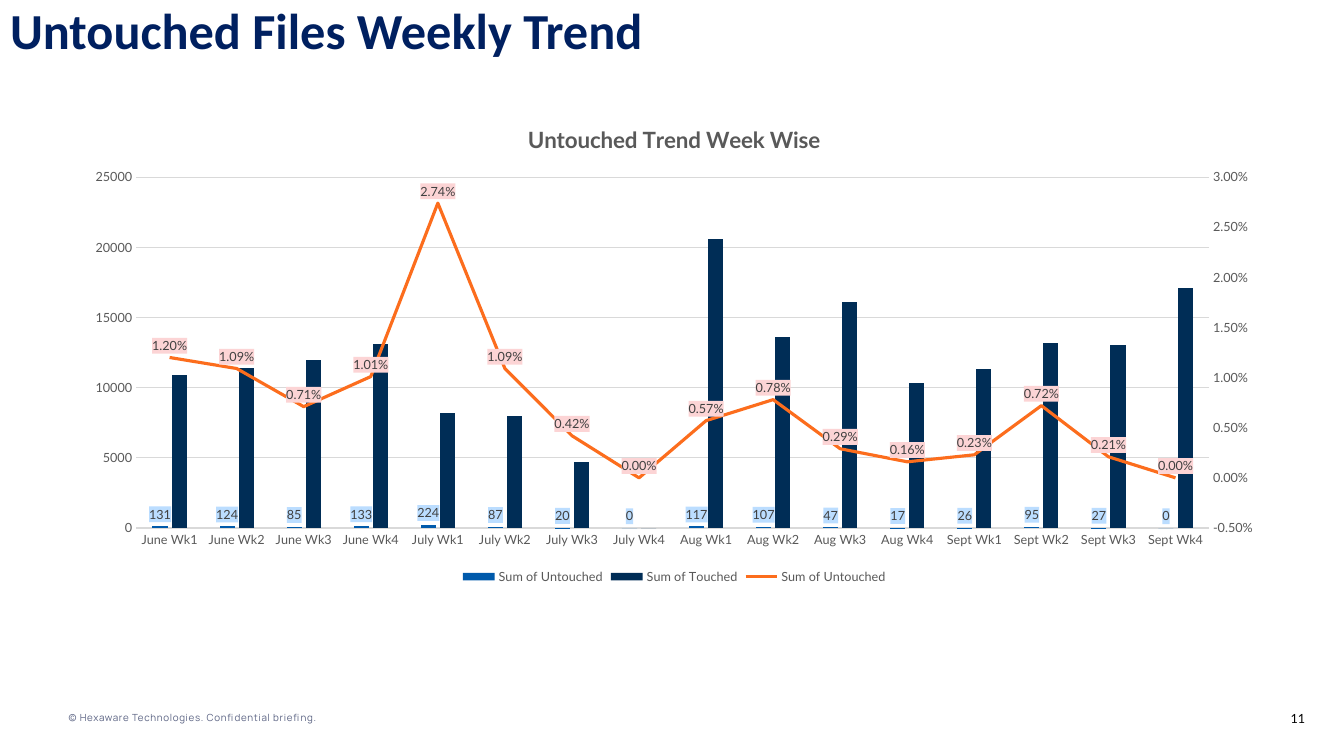
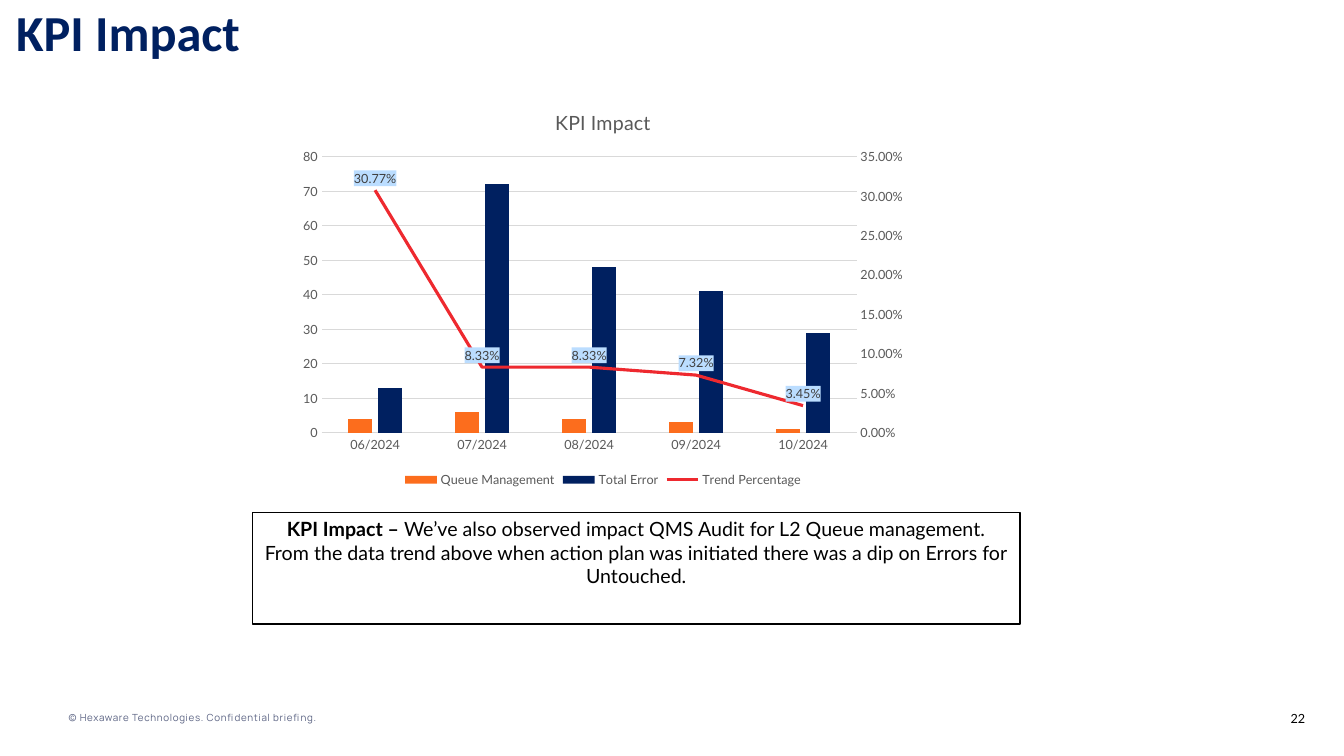
from copy import deepcopy

from pptx import Presentation
from pptx.chart.axis import CategoryAxis, ValueAxis
from pptx.chart.data import CategoryChartData
from pptx.dml.color import RGBColor
from pptx.enum.chart import (XL_CHART_TYPE, XL_LABEL_POSITION, XL_LEGEND_POSITION,
                             XL_MARKER_STYLE, XL_TICK_MARK)
from pptx.enum.shapes import MSO_SHAPE
from pptx.enum.text import MSO_ANCHOR, MSO_AUTO_SIZE, PP_ALIGN
from pptx.oxml import parse_xml
from pptx.oxml.ns import nsdecls, qn
from pptx.util import Cm, Pt

BLACK = RGBColor(0x00, 0x00, 0x00)
WHITE = RGBColor(0xFF, 0xFF, 0xFF)
NAVY = RGBColor(0x00, 0x20, 0x60)
DARK_BLUE = RGBColor(0x00, 0x2D, 0x56)
BLUE = RGBColor(0x00, 0x5A, 0xAB)
ORANGE = RGBColor(0xFC, 0x6D, 0x1D)
RED = RGBColor(0xEE, 0x29, 0x2F)
PALE_BLUE = RGBColor(0xBB, 0xDD, 0xFF)
PALE_RED = RGBColor(0xFC, 0xD4, 0xD5)
AXIS_TEXT = RGBColor(0x59, 0x59, 0x59)
LABEL_TEXT = RGBColor(0x40, 0x40, 0x40)
GRID = RGBColor(0xD9, 0xD9, 0xD9)
FOOTER_TEXT = RGBColor(0x5B, 0x63, 0x83)

TITLE_FONT, BODY_FONT, FOOTER_FONT = "Calibri", "Lato", "Manrope"
FOOTER = "© Hexaware Technologies. Confidential briefing."
PERCENT = "0.00%"
RIGHT_AXIS_IDS = ("50", "60")

# Series: name, values, colour, label fill (None for no labels); the last is the line.
# Scales: minimum, maximum, step.
UNTOUCHED = {
    "title": "Untouched Trend Week Wise", "title_size": 16, "title_bold": True,
    "box": (1.8, 2.64, 30.38, 12.19),
    "categories": [f"{month} Wk{week}" for month in ("June", "July", "Aug", "Sept")
                   for week in range(1, 5)],
    "series": [
        ("Sum of Untouched",
         (131, 124, 85, 133, 224, 87, 20, 0, 117, 107, 47, 17, 26, 95, 27, 0),
         BLUE, PALE_BLUE),
        ("Sum of Touched",
         (10900, 11400, 12000, 13100, 8200, 8000, 4700, 0,
          20600, 13600, 16100, 10300, 11300, 13200, 13000, 17100),
         DARK_BLUE, None),
        ("Sum of Untouched",
         (0.012, 0.0109, 0.0071, 0.0101, 0.0274, 0.0109, 0.0042, 0,
          0.0057, 0.0078, 0.0029, 0.0016, 0.0023, 0.0072, 0.0021, 0),
         ORANGE, PALE_RED),
    ],
    "left_scale": (0, 25000, 5000),
    "right_scale": (-0.005, 0.03, 0.005),
}
KPI = {
    "title": "KPI Impact", "title_size": 14, "title_bold": False,
    "box": (7.32, 2.31, 15.75, 10.08),
    "categories": [f"{month:02}/2024" for month in range(6, 11)],
    "series": [
        ("Queue Management", (4, 6, 4, 3, 1), ORANGE, None),
        ("Total Error", (13, 72, 48, 41, 29), NAVY, None),
        ("Trend Percentage", (0.3077, 0.0833, 0.0833, 0.0732, 0.0345), RED, PALE_BLUE),
    ],
    "left_scale": (0, 80, 10),
    "right_scale": (0, 0.35, 0.05),
}
FINDING = ("KPI Impact – ",
           "We’ve also observed impact QMS Audit for L2 Queue management. From the data "
           "trend above when action plan was initiated there was a dip on Errors for "
           "Untouched.")


def cm_box(box):
    return [Cm(length) for length in box]


def style_font(font, name, size, color, bold=False):
    font.name, font.size, font.bold = name, Pt(size), bold
    font.color.rgb = color


def add_footer_text(slide, box, text, font_name, size, color, align):
    frame = slide.shapes.add_textbox(*cm_box(box)).text_frame
    frame.margin_left = frame.margin_right = frame.margin_top = frame.margin_bottom = 0
    frame.word_wrap = True
    paragraph = frame.paragraphs[0]
    paragraph.text, paragraph.alignment = text, align
    style_font(paragraph.runs[0].font, font_name, size, color)
    return paragraph.runs[0]


def add_slide(deck, title, title_box, line_spacing, number):
    """Add a slide with its title, copyright line and page number."""
    slide = deck.slides.add_slide(deck.slide_layouts[5])
    heading = slide.shapes.title
    heading.left, heading.top, heading.width, heading.height = cm_box(title_box)
    frame = heading.text_frame
    frame.text = title
    frame.auto_size = MSO_AUTO_SIZE.NONE
    frame.vertical_anchor = MSO_ANCHOR.TOP
    paragraph = frame.paragraphs[0]
    paragraph.alignment, paragraph.line_spacing = PP_ALIGN.LEFT, line_spacing
    style_font(paragraph.runs[0].font, TITLE_FONT, 36, NAVY, True)

    copyright_run = add_footer_text(slide, (1.73, 17.93, 7.72, 0.3), FOOTER,
                                    FOOTER_FONT, 7, FOOTER_TEXT, PP_ALIGN.LEFT)
    copyright_run.font._element.set("spc", "50")
    add_footer_text(slide, (32.13, 17.92, 0.76, 0.38), str(number),
                    BODY_FONT, 9, BLACK, PP_ALIGN.RIGHT)
    return slide


def set_scale(axis, scale):
    axis.minimum_scale, axis.maximum_scale, axis.major_unit = scale


def style_axes(chart, left_scale):
    for axis in (chart.category_axis, chart.value_axis):
        axis.major_tick_mark = axis.minor_tick_mark = XL_TICK_MARK.NONE
        style_font(axis.tick_labels.font, BODY_FONT, 9, AXIS_TEXT)
    chart.value_axis.format.line.fill.background()
    for line in (chart.category_axis.format.line,
                 chart.value_axis.major_gridlines.format.line):
        line.color.rgb, line.width = GRID, Pt(0.75)
    set_scale(chart.value_axis, left_scale)


def move_last_series_to_line(chart, right_scale):
    """Turn the last column series into a line on a right-hand axis."""
    root = chart.element
    category_id, value_id = RIGHT_AXIS_IDS
    line_plot = parse_xml(
        f'<c:lineChart {nsdecls("c")}><c:grouping val="standard"/><c:varyColors val="0"/>'
        f'<c:marker val="1"/><c:axId val="{category_id}"/><c:axId val="{value_id}"/>'
        '</c:lineChart>')
    series = root.xpath(".//c:ser")[-1]
    for invert in series.findall(qn("c:invertIfNegative")):
        series.remove(invert)
    line_plot.insert(2, series)
    root.xpath(".//c:barChart")[0].addnext(line_plot)

    left_value = root.xpath(".//c:valAx")[0]
    right_category = deepcopy(root.xpath(".//c:catAx")[0])
    right_value = deepcopy(left_value)
    for axis, own_id, cross_id in ((right_category, category_id, value_id),
                                   (right_value, value_id, category_id)):
        axis.find(qn("c:axId")).set("val", own_id)
        axis.find(qn("c:crossAx")).set("val", cross_id)
    right_value.find(qn("c:axPos")).set("val", "r")
    right_value.find(qn("c:crosses")).set("val", "max")
    left_value.addnext(right_category)
    right_category.addnext(right_value)

    CategoryAxis(right_category).visible = False
    right_axis = ValueAxis(right_value)
    right_axis.has_major_gridlines = False
    right_axis.tick_labels.number_format = PERCENT
    right_axis.tick_labels.number_format_is_linked = False
    set_scale(right_axis, right_scale)


def add_labels(series, series_xml, fill, position, number_format):
    labels = series.data_labels
    labels.show_value, labels.position = True, position
    labels.number_format, labels.number_format_is_linked = number_format, False
    style_font(labels.font, BODY_FONT, 9, LABEL_TEXT)
    series_xml.find(qn("c:dLbls")).find(qn("c:txPr")).addprevious(parse_xml(
        f'<c:spPr {nsdecls("c", "a")}><a:solidFill><a:srgbClr val="{fill}"/>'
        '</a:solidFill></c:spPr>'))


def add_trend_chart(slide, content):
    """Add clustered columns with a percentage line on the right axis."""
    data = CategoryChartData()
    data.categories = content["categories"]
    last = len(content["series"]) - 1
    formats = ["General"] * last + [PERCENT]
    for (name, values, _, _), number_format in zip(content["series"], formats):
        data.add_series(name, values, number_format)
    chart = slide.shapes.add_chart(XL_CHART_TYPE.COLUMN_CLUSTERED,
                                   *cm_box(content["box"]), data).chart
    style_font(chart.font, BODY_FONT, 10, BLACK)
    chart.has_title = True
    heading = chart.chart_title.text_frame
    heading.text = content["title"]
    style_font(heading.paragraphs[0].runs[0].font, BODY_FONT, content["title_size"],
               AXIS_TEXT, content["title_bold"])
    chart.has_legend = True
    chart.legend.position = XL_LEGEND_POSITION.BOTTOM
    chart.legend.include_in_layout = False
    style_font(chart.legend.font, BODY_FONT, 9, AXIS_TEXT)
    columns = chart.plots[0]
    columns.gap_width, columns.overlap = 219, -27
    columns.vary_by_categories = False

    style_axes(chart, content["left_scale"])
    move_last_series_to_line(chart, content["right_scale"])

    drawn = zip(chart.series, chart.element.xpath(".//c:ser"), content["series"], formats)
    for index, (series, series_xml, (_, _, color, label_fill), number_format) in enumerate(drawn):
        if index == last:
            series.format.line.color.rgb, series.format.line.width = color, Pt(2.25)
            series.marker.style, series.smooth = XL_MARKER_STYLE.NONE, False
            position = XL_LABEL_POSITION.ABOVE
        else:
            series.format.fill.solid()
            series.format.fill.fore_color.rgb = color
            position = XL_LABEL_POSITION.OUTSIDE_END
        if label_fill is not None:
            add_labels(series, series_xml, label_fill, position, number_format)


def add_finding(slide):
    panel = slide.shapes.add_shape(MSO_SHAPE.RECTANGLE, *cm_box((6.36, 12.91, 19.35, 2.82)))
    panel.shadow.inherit = False
    panel.fill.solid()
    panel.fill.fore_color.rgb = WHITE
    panel.line.color.rgb, panel.line.width = BLACK, Pt(1)
    frame = panel.text_frame
    frame.word_wrap, frame.vertical_anchor = True, MSO_ANCHOR.TOP
    paragraph = frame.paragraphs[0]
    paragraph.alignment = PP_ALIGN.CENTER
    for text, bold in zip(FINDING, (True, False)):
        run = paragraph.add_run()
        run.text = text
        style_font(run.font, BODY_FONT, 14, BLACK, bold)


def main():
    deck = Presentation()
    deck.slide_width, deck.slide_height = Cm(33.87), Cm(19.05)

    weekly = add_slide(deck, "Untouched Files Weekly Trend", (0, 0.03, 24.56, 1.65), 0.9, 11)
    add_trend_chart(weekly, UNTOUCHED)

    impact = add_slide(deck, "KPI Impact", (0.15, -0.1, 33.72, 1.8), 1.0, 22)
    add_finding(impact)
    add_trend_chart(impact, KPI)

    deck.save("out.pptx")


if __name__ == "__main__":
    main()
